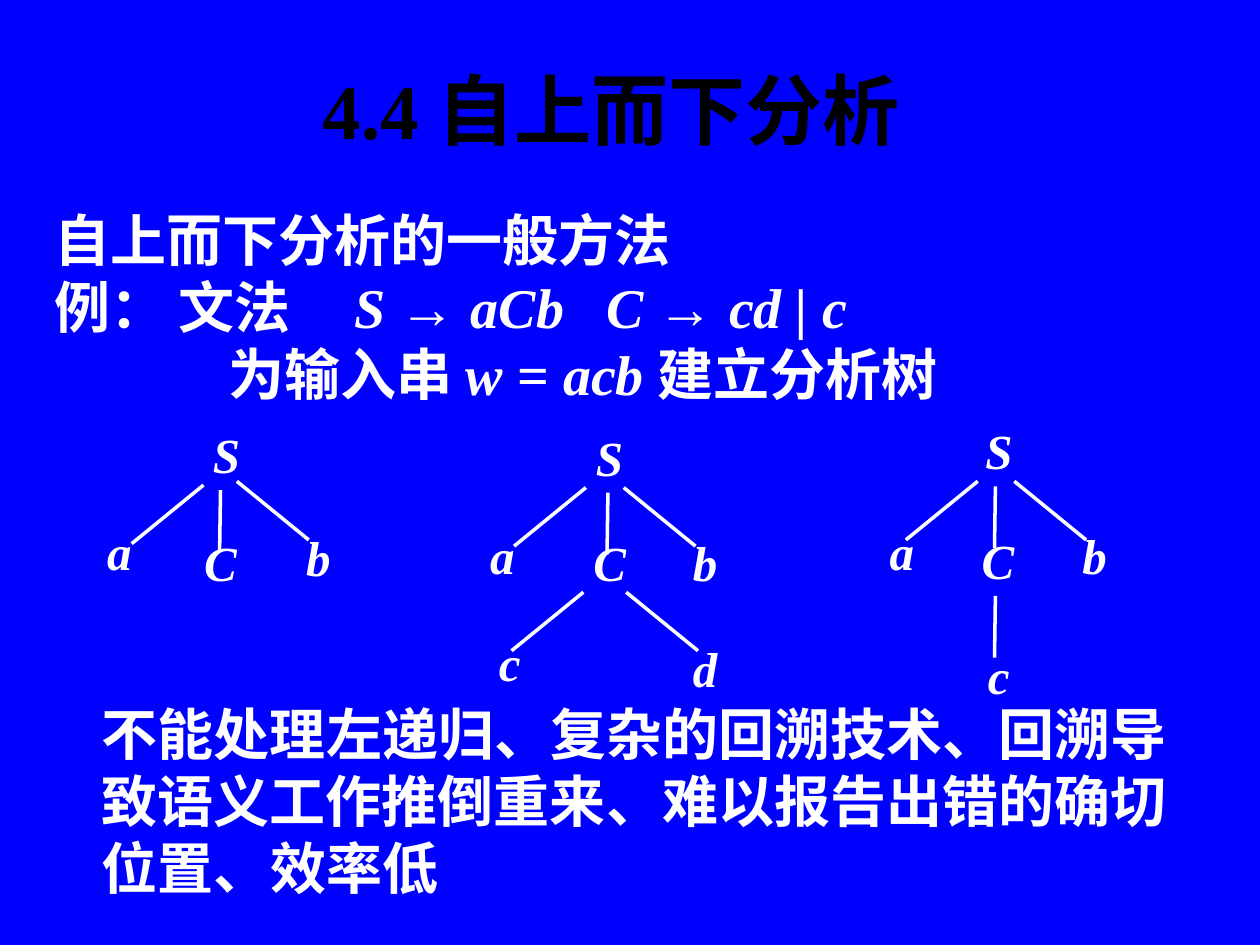
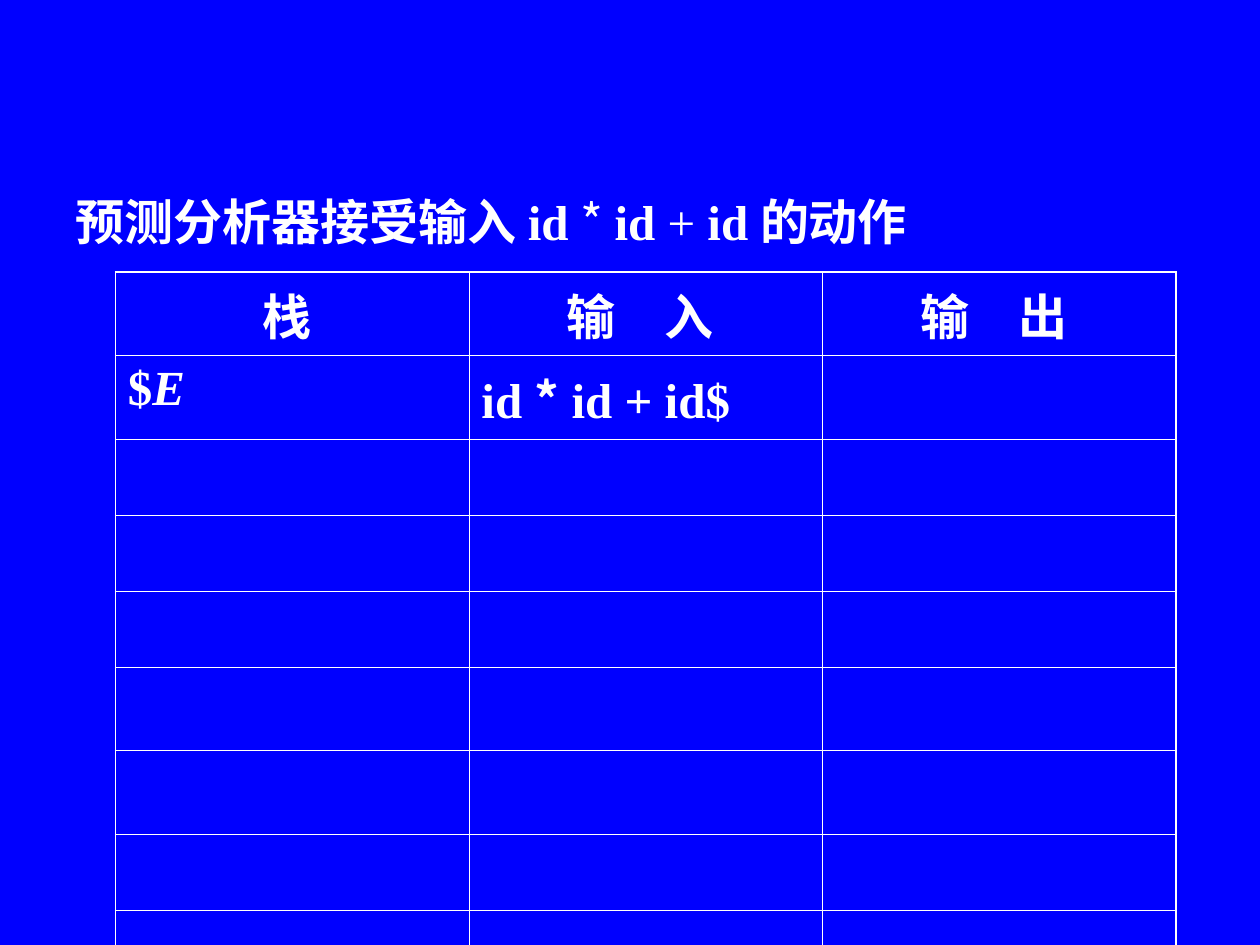
from lxml.etree import SubElement
from pptx import Presentation
from pptx.dml.color import RGBColor
from pptx.enum.shapes import MSO_CONNECTOR
from pptx.enum.text import MSO_ANCHOR, MSO_AUTO_SIZE, PP_ALIGN
from pptx.oxml import parse_xml
from pptx.oxml.ns import nsdecls, qn
from pptx.util import Emu, Inches, Pt

BLUE, WHITE, BLACK = "0000FF", "FFFFFF", "000000"
SERIF, SANS, MONO, CJK = "Times New Roman", "Arial", "Courier New", "Noto Sans CJK SC"
COLS, ROWS = 100, 75
THICK, THIN = 1.08, 0.45
INSETS = 0.1, 0.05, 0.1, 0.05


def rgb(value):
    return RGBColor.from_string(value)


class Deck:
    """Holds the shared style and the current slide; boxes are (column, row, columns, rows)."""

    def __init__(self, prs):
        self.prs = prs
        self.s = None
        self.paint(prs.slide_master.background.fill, BLUE)

    def paint(self, fill, color):
        fill.solid()
        fill.fore_color.rgb = rgb(color)

    def x(self, cols):
        return Emu(round(self.prs.slide_width * cols / COLS))

    def y(self, rows):
        return Emu(round(self.prs.slide_height * rows / ROWS))

    def box(self, box):
        left, top, width, height = box
        return self.x(left), self.y(top), self.x(width), self.y(height)

    def new(self, layout):
        self.s = self.prs.slides.add_slide(self.prs.slide_layouts.get_by_name(layout))

    def place(self, sp, box):
        sp.left, sp.top, sp.width, sp.height = self.box(box)

    def frame(self, tf, insets=INSETS, anchor=MSO_ANCHOR.TOP):
        tf.word_wrap = True
        tf.auto_size = MSO_AUTO_SIZE.NONE
        tf.vertical_anchor = anchor
        tf.margin_left, tf.margin_top, tf.margin_right, tf.margin_bottom = map(Inches, insets)

    def runs(self, p, runs, size, color=WHITE):
        """Add (text, font, flags) runs; flag i is italic, flag n is not bold."""
        for text, font, flags in runs:
            r = p.add_run()
            r.text = text
            r.font.size = Pt(size)
            r.font.bold = "n" not in flags
            r.font.italic = "i" in flags
            r.font.color.rgb = rgb(color)
            r.font.name = font
            ea = parse_xml(f'<a:ea {nsdecls("a")} typeface="{CJK}"/>')
            r.font._element.find(qn("a:latin")).addnext(ea)

    def title(self, box, runs, size, color=WHITE, align=PP_ALIGN.CENTER, fill=None):
        sp = self.s.shapes.title
        self.place(sp, box)
        if fill:
            self.paint(sp.fill, fill)
        self.frame(sp.text_frame, anchor=MSO_ANCHOR.MIDDLE)
        p = sp.text_frame.paragraphs[0]
        p.alignment = align
        self.runs(p, runs, size, color)

    def hanging(self, tf, paragraphs):
        """Fill a frame with hanging paragraphs and a tab stop at every inch."""
        self.frame(tf)
        for i, runs in enumerate(paragraphs):
            p = tf.add_paragraph() if i else tf.paragraphs[0]
            pPr = p._p.get_or_add_pPr()
            pPr.set("marL", str(Inches(0.38)))
            pPr.set("indent", str(-Inches(0.38)))
            pPr.set("defTabSz", str(Inches(1)))
            SubElement(pPr, qn("a:buNone"))
            tabs = SubElement(pPr, qn("a:tabLst"))
            for inch in range(8):
                SubElement(tabs, qn("a:tab"), pos=str(Inches(inch)), algn="l")
            p.space_before = Pt(0)
            p.line_spacing = Pt(38.4)
            self.runs(p, runs, 32)

    def body(self, box, paragraphs):
        sp = self.s.placeholders[1]
        self.place(sp, box)
        self.hanging(sp.text_frame, paragraphs)

    def note(self, box, paragraphs):
        self.hanging(self.s.shapes.add_textbox(*self.box(box)).text_frame, paragraphs)

    def node(self, symbol, left, top):
        sp = self.s.shapes.add_textbox(*self.box((left, top, 3.4, 5.5)))
        self.frame(sp.text_frame, (0.02, 0.01, 0.02, 0.01))
        self.runs(sp.text_frame.paragraphs[0], [(symbol, SERIF, "i")], 28)

    def edge(self, left, top, across, down):
        ends = self.x(left), self.y(top), self.x(left + across), self.y(top + down)
        line = self.s.shapes.add_connector(MSO_CONNECTOR.STRAIGHT, *ends)
        line.line.color.rgb = rgb(WHITE)
        line.line.width = Pt(2)
        SubElement(line._element.spPr, qn("a:effectLst"))

    def border(self, cell, widths):
        """Draw the cell's left, right, top and bottom lines."""
        tcPr = cell._tc.get_or_add_tcPr()
        for i, (side, width) in enumerate(zip("LRTB", widths)):
            tcPr.insert(i, parse_xml(
                f'<a:ln{side} {nsdecls("a")} w="{Pt(width)}"><a:solidFill>'
                f'<a:srgbClr val="{WHITE}"/></a:solidFill></a:ln{side}>'))

    def table(self, left, top, width, heights, columns, texts):
        rows = len(heights)
        box = self.box((left, top, width, sum(heights)))
        table = self.s.shapes.add_table(rows, columns, *box).table
        table.first_row = table.horz_banding = False
        for row, height in zip(table.rows, heights):
            row.height = self.y(height)
        for i in range(rows):
            for j in range(columns):
                cell = table.cell(i, j)
                cell.fill.background()
                thick = False, j == columns - 1, i == 0, i == rows - 1
                self.border(cell, [THICK if edge else THIN for edge in thick])
                p = cell.text_frame.paragraphs[0]
                p.alignment = PP_ALIGN.LEFT if i else PP_ALIGN.CENTER
                self.runs(p, texts.get((i, j), []), 28)


def top_down_slide(deck):
    deck.new("Title and Content")
    deck.title((6.7, 2.4, 85, 12.5), [("4.4", SERIF, ""), ("自上而下分析 ", CJK, "")], 44, BLACK)
    deck.body((3.3, 15.8, 93.3, 17.5), [
        [("自上而下分析的一般方法", SERIF, "")],
        [("例： 文法\t", SERIF, ""), ("S ", SERIF, "i"), ("→ ", SANS, ""),
         ("aCb\tC ", SERIF, "i"), ("→ ", SANS, ""), ("cd | c", SERIF, "i")],
        [("\t\t", SERIF, ""), ("为输入串", CJK, ""), ("w", SERIF, "i"),
         (" = ", SERIF, ""), ("acb", SERIF, "i"), ("建立分析树", CJK, "")],
    ])
    trees = [
        [("S", 16.7, 33.6), ("a", 8.3, 41.3), ("C", 16, 42.2), ("b", 24.1, 41.8)],
        [("S", 47.1, 33.8), ("a", 38.7, 41.6), ("C", 46.9, 42.2), ("b", 54.8, 42.2),
         ("c", 39.4, 50.1), ("d", 54.8, 50.6)],
        [("S", 78, 33.3), ("a", 70.4, 41.3), ("C", 77.7, 42), ("b", 85.7, 41.6),
         ("c", 78.2, 51.1)],
    ]
    for tree in trees:
        for symbol, left, top in tree:
            deck.node(symbol, left, top)
    edges = {
        (-5.7, 4.65): [(16.15, 38.5), (46.3, 47), (77.6, 38.2), (46.5, 38.7)],
        (-0.07, 4.9): [(17.5, 38.9), (48.25, 39.1), (79, 38.6), (79, 47.3)],
        (5.7, 4.65): [(18.8, 38.2), (49.5, 38.7), (80.5, 38.2), (49.7, 47)],
    }
    for (across, down), starts in edges.items():
        for left, top in starts:
            deck.edge(left, top, across, down)
    drawbacks = ["左递归", "复杂的回溯技术", "回溯导致语义工作推倒重来",
                 "难以报告出错的确切位置", "效率低"]
    runs = [("\t不能处理", SERIF, "")]
    for i, drawback in enumerate(drawbacks):
        if i:
            runs.append(("、", SERIF, ""))
        runs.append((drawback, CJK, ""))
    deck.note((3.3, 55, 93.3, 18.3), [runs])


def predictive_slide(deck):
    deck.new("Title Only")
    deck.title((5, 14.2, 89.2, 6.7), [
        ("预测", MONO, ""), ("分析器接受输入id ", SERIF, ""), ("* ", CJK, "n"),
        ("id", SERIF, ""), (" + ", SERIF, "n"), ("id", SERIF, ""), ("的动作", MONO, ""),
    ], 28, align=PP_ALIGN.LEFT, fill=BLUE)
    tall, short = 6.6, 6.05
    heights = [tall] * 2 + [short] * 3 + [tall] * 2 + [short] * 2
    deck.table(9.15, 21.6, 84.2, heights, 3, {
        (0, 0): [("栈 ", CJK, "")],
        (0, 1): [("输　入 ", CJK, "")],
        (0, 2): [("输　出 ", CJK, "")],
        (1, 0): [("$", SERIF, ""), ("E", SERIF, "i")],
        (1, 1): [("id ", SERIF, ""), ("*", CJK, ""), (" id + id$", SERIF, "")],
    })


def main():
    prs = Presentation()
    prs.slide_width, prs.slide_height = Inches(10), Inches(7.5)
    deck = Deck(prs)
    top_down_slide(deck)
    predictive_slide(deck)
    prs.save("out.pptx")


if __name__ == "__main__":
    main()
